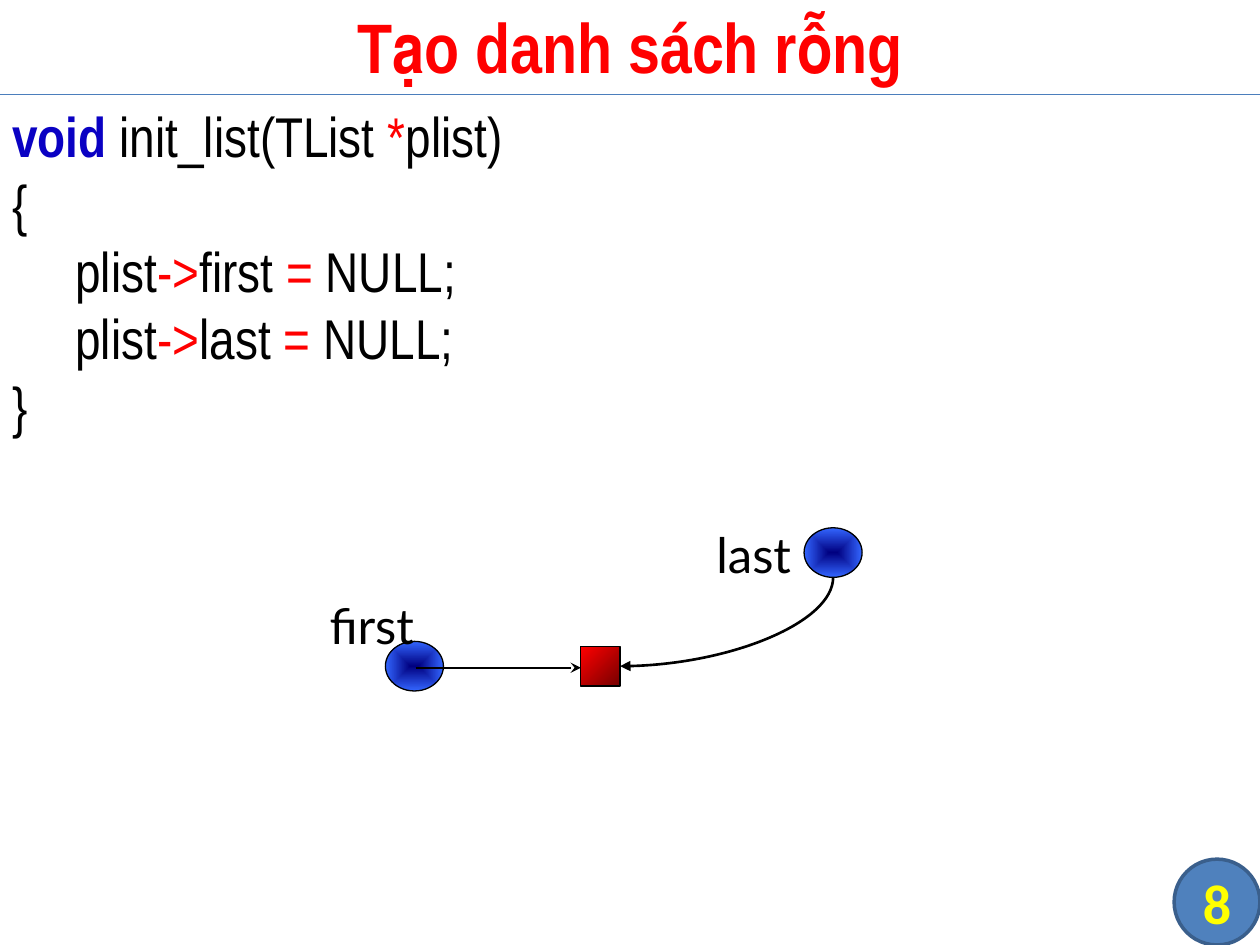
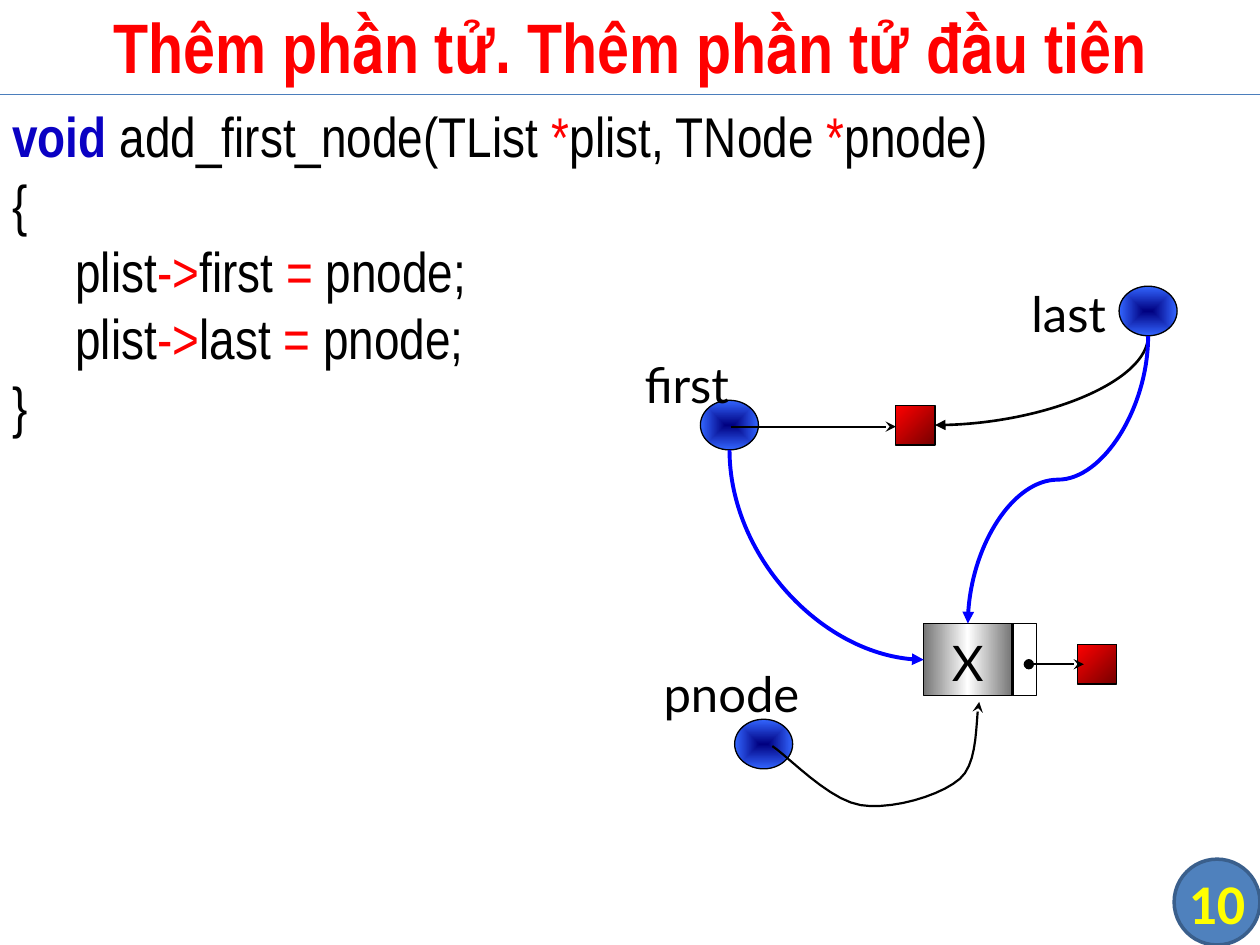
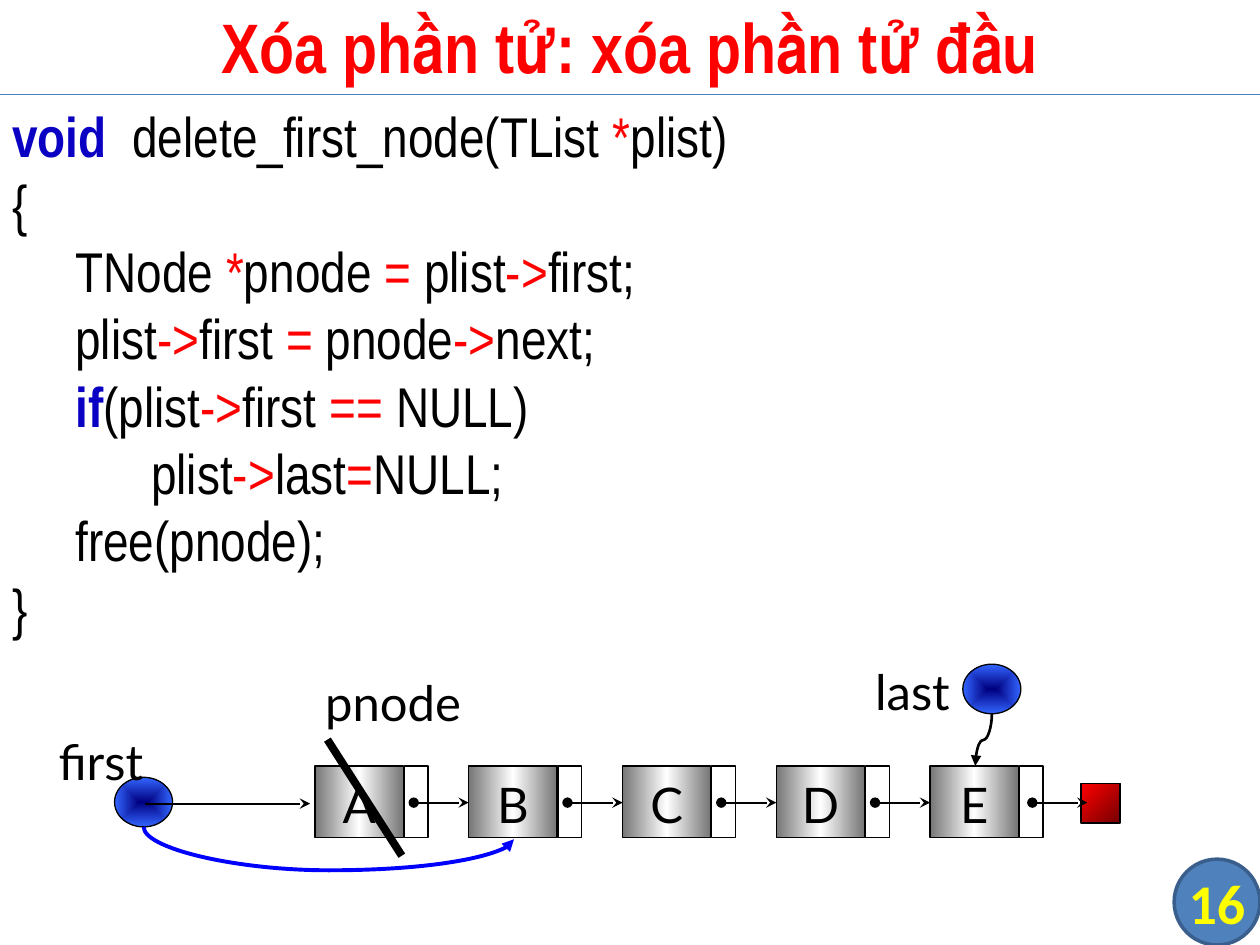
from lxml.etree import SubElement
from pptx import Presentation
from pptx.dml.color import RGBColor
from pptx.enum.shapes import MSO_CONNECTOR as Line, MSO_SHAPE as Shape
from pptx.enum.text import MSO_ANCHOR as Anchor, PP_ALIGN as Align
from pptx.oxml.ns import qn
from pptx.util import Cm, Pt

RED, BLUE, BLACK, WHITE, YELLOW = "FF0000", "0000FF", "000000", "FFFFFF", "FFFF00"
KEYWORD, BADGE, BADGE_EDGE, RULE = "0A01C3", "4F81BD", "3A5F8C", "4B7EBC"
NARROW, LABEL, NUMBER = "Arial Narrow", "Lato", "Calibri"
KEYWORDS, OPERATORS = {"void", "if"}, {"*", "->", "=", "=="}

SHADE = 46275
POINTER_FILL = [(0, "000080", None), (100, "3366FF", None)]
NULL_FILL = [(0, RED, None), (100, RED, SHADE)]
NODE_FILL = [(0, WHITE, SHADE), (50, WHITE, None), (100, WHITE, SHADE)]

POINTER_W, POINTER_H = 1.17, 1.0
NULL_SIZE = 0.79
NODE_W, NODE_H, NEXT_W, NODE_STEP = 1.78, 1.45, 0.48, 3.1
FIRST_ARROW, LINK_LENGTH = 3.33, 1.11
LABEL_BOXES = {
    "first": (-1.42, -0.86, 2.29, 1.07),
    "last": (-2.16, 0, 2.29, 1.07),
    "pnode": (-1.6, -1.12, 3.07, 1.19),
}
LIST_TOP = 15.44

SLIDES = [
    {
        "title": "Tạo danh sách rỗng",
        "number": "8",
        "code": [
            ["void", " init_list(TList ", "*", "plist)"],
            ["{"],
            ["\tplist", "->", "first ", "=", " NULL;"],
            ["\tplist", "->", "last ", "=", " NULL;"],
            ["}"],
        ],
        "pointers": {"first": (7.77, 12.93), "last": (16.21, 10.64)},
        "nulls": [(11.71, 13.04)],
        "curves": [("last", 12.5, 13.43, BLACK, 1.5, None)],
    },
    {
        "title": "Thêm phần tử. Thêm phần tử đầu tiên",
        "number": "10",
        "code": [
            ["void ", "add_first_node(TList ", "*", "plist, TNode ", "*", "pnode)"],
            ["{"],
            ["\tplist", "->", "first ", "= ", "pnode;"],
            ["\tplist", "->", "last ", "= ", "pnode;"],
            ["}"],
        ],
        "pointers": {"first": (14.12, 8.07), "last": (22.56, 5.77), "pnode": (14.81, 14.5)},
        "nulls": [(18.06, 8.18), (21.72, 13.0)],
        "nodes": [("X", 18.62, 12.57)],
        "links": [(21.85, 13.39)],
        "curves": [
            ("first", 18.62, 13.3, BLUE, 2.25, None),
            ("last", 18.85, 8.57, BLACK, 1.5, None),
            ("last", 19.51, 12.57, BLUE, 2.25, 0.5),
        ],
        "swoop": [
            (15.57, 15.04),
            (15.88, 15.24), (16.71, 16.13), (17.35, 16.23),
            (17.96, 16.33), (18.95, 16.05), (19.35, 15.7),
            (19.74, 15.37), (19.66, 14.45), (19.74, 14.15),
        ],
    },
    {
        "title": "Xóa phần tử: xóa phần tử đầu",
        "number": "16",
        "code": [
            ["void  ", "delete_first_node(TList ", "*", "plist)"],
            ["{"],
            ["\tTNode ", "*", "pnode ", "=", " plist", "->", "first;"],
            ["\tplist", "->", "first ", "=", " pnode", "->", "next;"],
            ["\t", "if", "(plist", "->", "first ", "==", " NULL)"],
            ["\t\t plist", "->", "last", "=", "NULL;"],
            ["\tfree(pnode);"],
            ["}"],
        ],
        "pointers": {"first": (2.31, 15.67), "last": (19.41, 13.39)},
        "nulls": [(21.79, 15.8)],
        "nodes": [(name, 6.35 + i * NODE_STEP, LIST_TOP) for i, name in enumerate("ABCDE")],
        "links": [(6.35 + i * NODE_STEP, 16.18) for i in range(1, 5)] + [(21.92, 16.18)],
        "curves": [
            ("first", 10.36, 16.92, BLUE, 2.25, 3.5),
            ("last", 19.66, LIST_TOP, BLACK, 1.5, 0.5),
        ],
        "free_label": ("pnode", 6.4, 13.44, 3.05, 1.42),
        "strike": (6.6, 14.91, 8.1, 17.25),
    },
]


def rgb(value):
    """Turn a hex string into a colour."""
    return RGBColor.from_string(value)


def style_font(run, name, size, color, bold=False):
    """Format one run."""
    font = run.font
    font.name, font.size, font.bold = name, Pt(size), bold
    font.color.rgb = rgb(color)


def write(frame, text, name, size, color, bold=False, top=0):
    """Put one centred line into a frame without side insets."""
    frame.margin_left = frame.margin_right = frame.margin_bottom = 0
    frame.margin_top = Cm(top)
    frame.vertical_anchor = Anchor.MIDDLE
    frame.text = text
    frame.paragraphs[0].alignment = Align.CENTER
    style_font(frame.paragraphs[0].runs[0], name, size, color, bold)


def add_label(slide, text, left, top, width, height):
    """Add a centred diagram label."""
    label = slide.shapes.add_textbox(Cm(left), Cm(top), Cm(width), Cm(height))
    write(label.text_frame, text, LABEL, 28, BLACK)


def fill_gradient(shape, stops, angle=None):
    """Fill with a linear gradient, or from the centre when no angle is given."""
    shape.fill.gradient()
    gradient = shape._element.spPr.find(qn("a:gradFill"))
    for child in list(gradient):
        gradient.remove(child)
    stop_list = SubElement(gradient, qn("a:gsLst"))
    for position, color, shade in stops:
        stop = SubElement(stop_list, qn("a:gs"), pos=str(position * 1000))
        tone = SubElement(stop, qn("a:srgbClr"), val=color)
        if shade:
            SubElement(tone, qn("a:gamma"))
            SubElement(tone, qn("a:shade"), val=str(shade))
            SubElement(tone, qn("a:invGamma"))
    if angle is None:
        centre = SubElement(gradient, qn("a:path"), path="shape")
        SubElement(centre, qn("a:fillToRect"), {side: "50000" for side in "ltrb"})
    else:
        SubElement(gradient, qn("a:lin"), ang=str(angle * 60000), scaled="1")


def add_part(slide, kind, left, top, width, height, fill=None, edge=BLACK, weight=0.75):
    """Add a preset shape with an outline and an optional flat fill."""
    part = slide.shapes.add_shape(kind, Cm(left), Cm(top), Cm(width), Cm(height))
    part.shadow.inherit = False
    part.line.color.rgb = rgb(edge)
    part.line.width = Pt(weight)
    if fill:
        part.fill.solid()
        part.fill.fore_color.rgb = rgb(fill)
    return part


def add_ends(line, head, tail):
    """Set the arrowheads of a line."""
    outline = line.get_or_add_ln()
    for tag, kind in (("a:headEnd", head), ("a:tailEnd", tail)):
        if kind:
            SubElement(outline, qn(tag), type=kind)


def add_line(slide, x1, y1, x2, y2, color=BLACK, weight=1.25, head=None, tail=None, kind=Line.STRAIGHT):
    """Add a connector without a shadow."""
    line = slide.shapes.add_connector(kind, Cm(x1), Cm(y1), Cm(x2), Cm(y2))
    line.line.color.rgb = rgb(color)
    line.line.width = Pt(weight)
    add_ends(line, head, tail)
    SubElement(line._element.spPr, qn("a:effectLst"))
    return line


def add_curve(slide, x1, y1, x2, y2, color, weight, bend):
    """Add a curved arrow that leaves its start downwards."""
    mid_x, mid_y = (x1 + x2) / 2, (y1 + y2) / 2
    half_w, half_h = (y2 - y1) / 2, abs(x2 - x1) / 2
    curve = add_line(slide, mid_x - half_w, mid_y - half_h, mid_x + half_w, mid_y + half_h,
                     color, weight, tail="triangle", kind=Line.CURVE)
    properties = curve._element.spPr
    frame = properties.find(qn("a:xfrm"))
    frame.set("rot", str((90 if x2 < x1 else 270) * 60000))
    if x2 > x1:
        frame.set("flipH", "1")
    geometry = properties.find(qn("a:prstGeom"))
    if bend is None:
        geometry.set("prst", "curvedConnector2")
    else:
        SubElement(geometry.find(qn("a:avLst")), qn("a:gd"), name="adj1", fmla=f"val {int(bend * 100000)}")


def add_swoop(slide, points, steps=10):
    """Draw a chain of cubic curves as one open outline with an arrowhead."""
    track = []
    for i in range(0, len(points) - 1, 3):
        for step in range(1, steps + 1):
            t = step / steps
            weights = ((1 - t) ** 3, 3 * t * (1 - t) ** 2, 3 * t * t * (1 - t), t ** 3)
            track.append(tuple(Cm(sum(w * p[axis] for w, p in zip(weights, points[i:i + 4])))
                               for axis in (0, 1)))
    builder = slide.shapes.build_freeform(Cm(points[0][0]), Cm(points[0][1]))
    builder.add_line_segments(track, close=False)
    swoop = builder.convert_to_shape()
    swoop.shadow.inherit = False
    swoop.fill.background()
    swoop.line.color.rgb = rgb(BLACK)
    swoop.line.width = Pt(1.25)
    add_ends(swoop, None, "stealth")


def add_frame(slide, title, number):
    """Add the title, the rule and the number badge."""
    heading = slide.shapes.title
    heading.left, heading.top, heading.width, heading.height = Cm(0), Cm(-0.08), Cm(25.4), Cm(1.98)
    write(heading.text_frame, title, NARROW, 40, RED, True)
    add_line(slide, 0, 1.9, 25.4, 1.9, RULE, 0.75)
    badge = add_part(slide, Shape.FLOWCHART_CONNECTOR, 23.67, 17.32, 1.73, 1.73, BADGE, BADGE_EDGE, 2)
    write(badge.text_frame, number, NUMBER, 32, YELLOW, True)
    badge.text_frame.word_wrap = False


def add_code(slide, lines):
    """Write the code with coloured keywords and operators."""
    frame = slide.shapes.add_textbox(Cm(0), Cm(1.9), Cm(25.4), Cm(17.15)).text_frame
    frame.word_wrap = True
    frame.margin_top = Cm(0.15)
    for i, tokens in enumerate(lines):
        paragraph = frame.add_paragraph() if i else frame.paragraphs[0]
        paragraph.line_spacing = Pt(38.5)
        for token in tokens:
            run = paragraph.add_run()
            run.text = token
            keyword = token.strip() in KEYWORDS
            color = KEYWORD if keyword else RED if token.strip() in OPERATORS else BLACK
            style_font(run, NARROW, 32, color, keyword)


def add_diagram(slide, content):
    """Draw the pointers, nodes and arrows of the linked list."""
    pointers = content["pointers"]
    for left, top in pointers.values():
        fill_gradient(add_part(slide, Shape.OVAL, left, top, POINTER_W, POINTER_H), POINTER_FILL)
    for left, top in content["nulls"]:
        fill_gradient(add_part(slide, Shape.RECTANGLE, left, top, NULL_SIZE, NULL_SIZE), NULL_FILL, 45)
    for name, left, top in content.get("nodes", []):
        add_part(slide, Shape.RECTANGLE, left + NODE_W + 0.02, top, NEXT_W, NODE_H, WHITE)
        node = add_part(slide, Shape.RECTANGLE, left, top, NODE_W, NODE_H)
        fill_gradient(node, NODE_FILL, 0)
        write(node.text_frame, name, LABEL, 28, BLACK, top=0.08)
    first_x, first_y = pointers["first"]
    start, level = first_x + 0.61, first_y + 0.53
    add_line(slide, start, level, start + FIRST_ARROW, level, tail="stealth")
    for end, level in content.get("links", []):
        add_line(slide, end - LINK_LENGTH, level, end, level, head="oval", tail="stealth")
    for name, (left, top) in pointers.items():
        dx, dy, width, height = LABEL_BOXES[name]
        add_label(slide, name, left + dx, top + dy, width, height)
    for name, x, y, color, weight, bend in content["curves"]:
        left, top = pointers[name]
        add_curve(slide, left + POINTER_W / 2, top + POINTER_H, x, y, color, weight, bend)
    if "swoop" in content:
        add_swoop(slide, content["swoop"])
    if "free_label" in content:
        add_label(slide, *content["free_label"])
    if "strike" in content:
        add_line(slide, *content["strike"], weight=4.5)


def main():
    """Build the slides and save them."""
    deck = Presentation()
    deck.slide_width, deck.slide_height = Cm(25.4), Cm(19.05)
    for content in SLIDES:
        slide = deck.slides.add_slide(deck.slide_layouts[5])
        add_frame(slide, content["title"], content["number"])
        add_code(slide, content["code"])
        add_diagram(slide, content)
    deck.save("out.pptx")


if __name__ == "__main__":
    main()
